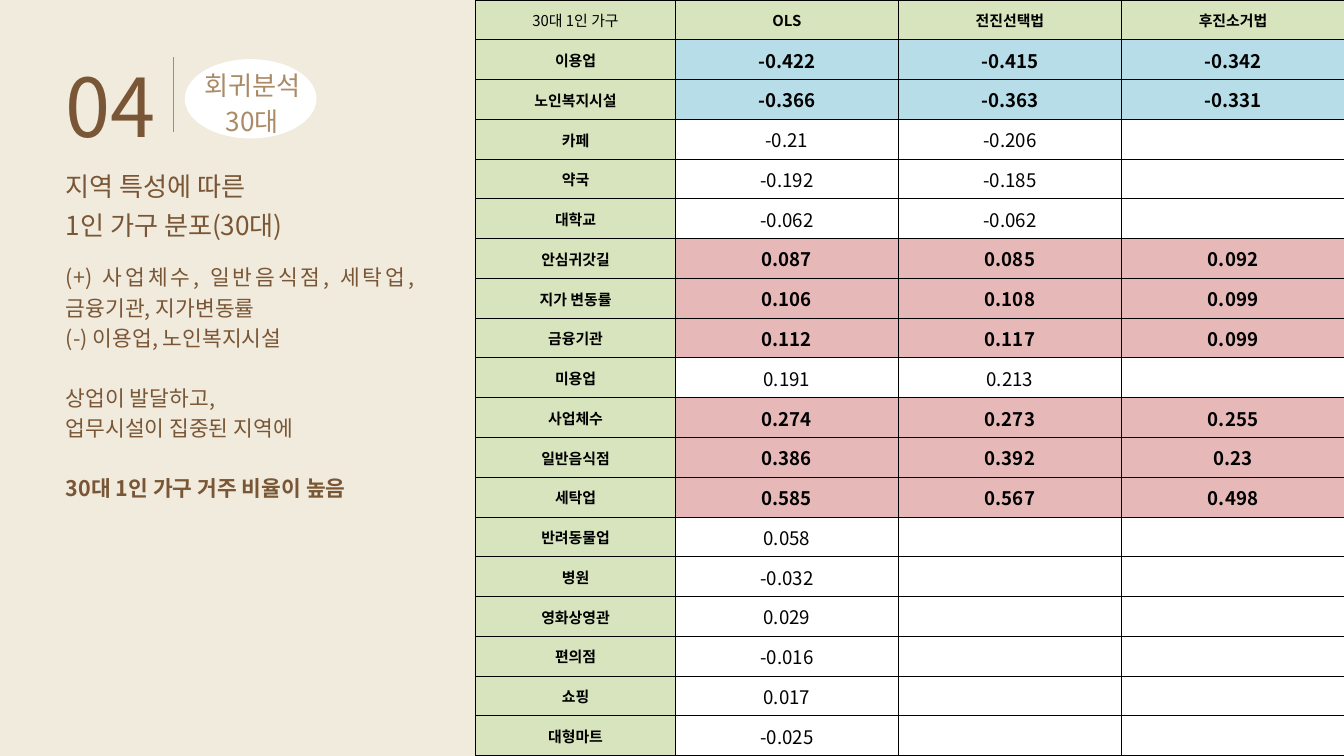
from dataclasses import dataclass

from lxml.etree import SubElement
from pptx import Presentation
from pptx.dml.color import RGBColor
from pptx.enum.shapes import MSO_CONNECTOR, MSO_SHAPE
from pptx.enum.text import MSO_ANCHOR, PP_ALIGN
from pptx.oxml.ns import qn
from pptx.util import Inches, Pt

FONT = "Noto Sans CJK KR"
CREAM = RGBColor(0xF1, 0xEB, 0xDE)
BROWN = RGBColor(0x79, 0x56, 0x35)
TAN = RGBColor(0xAB, 0x8A, 0x66)
WHITE = RGBColor(0xFF, 0xFF, 0xFF)
BLACK = RGBColor(0x00, 0x00, 0x00)
GREEN = RGBColor(0xD7, 0xE4, 0xBD)
BLUE = RGBColor(0xB7, 0xDE, 0xE8)
PINK = RGBColor(0xE6, 0xB9, 0xB8)

SLIDE_HEIGHT = 11.25
COLUMN_WIDTHS = (2.97, 3.32, 3.32, 3.32)
HEADER = ("30대 1인 가구", "OLS", "전진선택법", "후진소거법")


@dataclass(frozen=True)
class Line:
    text: str
    bold: bool = False
    space_before: float = 0


@dataclass(frozen=True)
class TextBlock:
    left: float
    top: float
    width: float
    height: float
    size: float
    line_spacing: float
    lines: tuple[Line, ...]
    color: RGBColor = BROWN
    alignment: PP_ALIGN = PP_ALIGN.LEFT


@dataclass(frozen=True)
class Factor:
    name: str
    coefficients: tuple[str, ...]

    @property
    def in_all_models(self) -> bool:
        return len(self.coefficients) == 3

    @property
    def fill(self) -> RGBColor:
        if not self.in_all_models:
            return WHITE
        return BLUE if self.coefficients[0].startswith("-") else PINK


BLOCKS = (
    TextBlock(0.98, 2.43, 4.02, 1.15, 28, 41.5,
              (Line("지역 특성에 따른"), Line("1인 가구 분포(30대)"))),
    TextBlock(0.98, 3.87, 5.18, 3.59, 23, 32.3,
              (Line("(+) 사업체수, 일반음식점, 세탁업, 금융기관, 지가변동률"),
               Line("(-) 이용업, 노인복지시설"),
               Line("상업이 발달하고,", space_before=32.3),
               Line("업무시설이 집중된 지역에"),
               Line("30대 1인 가구 거주 비율이 높음", bold=True, space_before=32.3)),
              alignment=PP_ALIGN.JUSTIFY),
    TextBlock(0.98, 0.59, 1.51, 1.58, 87, 121.9, (Line("04"),)),
    TextBlock(2.95, 0.95, 1.61, 1.09, 28, 39.3,
              (Line("회귀분석"), Line("30대")), TAN, PP_ALIGN.CENTER),
)

FACTORS = (
    Factor("이용업", ("-0.422", "-0.415", "-0.342")),
    Factor("노인복지시설", ("-0.366", "-0.363", "-0.331")),
    Factor("카페", ("-0.21", "-0.206")),
    Factor("약국", ("-0.192", "-0.185")),
    Factor("대학교", ("-0.062", "-0.062")),
    Factor("안심귀갓길", ("0.087", "0.085", "0.092")),
    Factor("지가 변동률", ("0.106", "0.108", "0.099")),
    Factor("금융기관", ("0.112", "0.117", "0.099")),
    Factor("미용업", ("0.191", "0.213")),
    Factor("사업체수", ("0.274", "0.273", "0.255")),
    Factor("일반음식점", ("0.386", "0.392", "0.23")),
    Factor("세탁업", ("0.585", "0.567", "0.498")),
    Factor("반려동물업", ("0.058",)),
    Factor("병원", ("-0.032",)),
    Factor("영화상영관", ("0.029",)),
    Factor("편의점", ("-0.016",)),
    Factor("쇼핑", ("0.017",)),
    Factor("대형마트", ("-0.025",)),
)


def add_run(paragraph, text: str, size: float, color: RGBColor, bold: bool) -> None:
    run = paragraph.add_run()
    run.text = text
    run.font.size = Pt(size)
    run.font.bold = bold
    run.font.color.rgb = color
    run.font.name = FONT
    SubElement(run.font._element, qn("a:ea"), typeface=FONT)


def add_text_block(slide, block: TextBlock) -> None:
    box = slide.shapes.add_textbox(Inches(block.left), Inches(block.top),
                                   Inches(block.width), Inches(block.height))
    frame = box.text_frame
    frame.word_wrap = True
    frame.margin_left = frame.margin_right = frame.margin_top = frame.margin_bottom = 0
    for index, line in enumerate(block.lines):
        paragraph = frame.add_paragraph() if index else frame.paragraphs[0]
        paragraph.alignment = block.alignment
        paragraph.line_spacing = Pt(block.line_spacing)
        if line.space_before:
            paragraph.space_before = Pt(line.space_before)
        add_run(paragraph, line.text, block.size, block.color, line.bold)


def style_cell(cell, text: str, size: float, bold: bool, fill: RGBColor) -> None:
    cell.margin_left = cell.margin_right = cell.margin_top = Inches(0.01)
    cell.margin_bottom = 0
    cell.vertical_anchor = MSO_ANCHOR.MIDDLE
    properties = cell._tc.get_or_add_tcPr()
    for side in ("a:lnL", "a:lnR", "a:lnT", "a:lnB"):
        border = SubElement(properties, qn(side), w=str(Pt(1)))
        solid = SubElement(border, qn("a:solidFill"))
        SubElement(solid, qn("a:srgbClr"), val=str(BLACK))
    cell.fill.solid()
    cell.fill.fore_color.rgb = fill
    if text:
        paragraph = cell.text_frame.paragraphs[0]
        paragraph.alignment = PP_ALIGN.CENTER
        add_run(paragraph, text, size, BLACK, bold)


def add_coefficient_table(slide) -> None:
    row_count = len(FACTORS) + 1
    table = slide.shapes.add_table(row_count, len(HEADER), Inches(7.08), 0,
                                   Inches(sum(COLUMN_WIDTHS)), Inches(SLIDE_HEIGHT)).table
    table.first_row = table.horz_banding = False
    for column, width in zip(table.columns, COLUMN_WIDTHS):
        column.width = Inches(width)
    for row in table.rows:
        row.height = Inches(SLIDE_HEIGHT / row_count)
    for column, title in enumerate(HEADER):
        style_cell(table.cell(0, column), title, 16, column > 0, GREEN)
    for row, factor in enumerate(FACTORS, start=1):
        style_cell(table.cell(row, 0), factor.name, 16, True, GREEN)
        for column in range(1, len(HEADER)):
            text = "".join(factor.coefficients[column - 1:column])
            style_cell(table.cell(row, column), text, 20, factor.in_all_models, factor.fill)


def add_title_marks(slide) -> None:
    divider = slide.shapes.add_connector(MSO_CONNECTOR.STRAIGHT, Inches(2.58), Inches(1.97),
                                         Inches(2.58), Inches(0.85))
    divider.line.color.rgb = TAN
    divider.line.width = Pt(1.5)
    SubElement(divider._element.spPr, qn("a:effectLst"))

    oval = slide.shapes.add_shape(MSO_SHAPE.OVAL, Inches(2.75), Inches(0.88),
                                  Inches(1.96), Inches(1.18))
    oval.shadow.inherit = False
    oval.fill.solid()
    oval.fill.fore_color.rgb = WHITE
    oval.line.fill.background()


def main() -> None:
    presentation = Presentation()
    presentation.slide_width = Inches(20)
    presentation.slide_height = Inches(SLIDE_HEIGHT)
    slide = presentation.slides.add_slide(presentation.slide_layouts[6])
    slide.background.fill.solid()
    slide.background.fill.fore_color.rgb = CREAM

    # Right side: regression coefficients
    add_coefficient_table(slide)

    # Left side: section title and findings
    add_title_marks(slide)
    for block in BLOCKS:
        add_text_block(slide, block)

    presentation.save("out.pptx")


if __name__ == "__main__":
    main()
